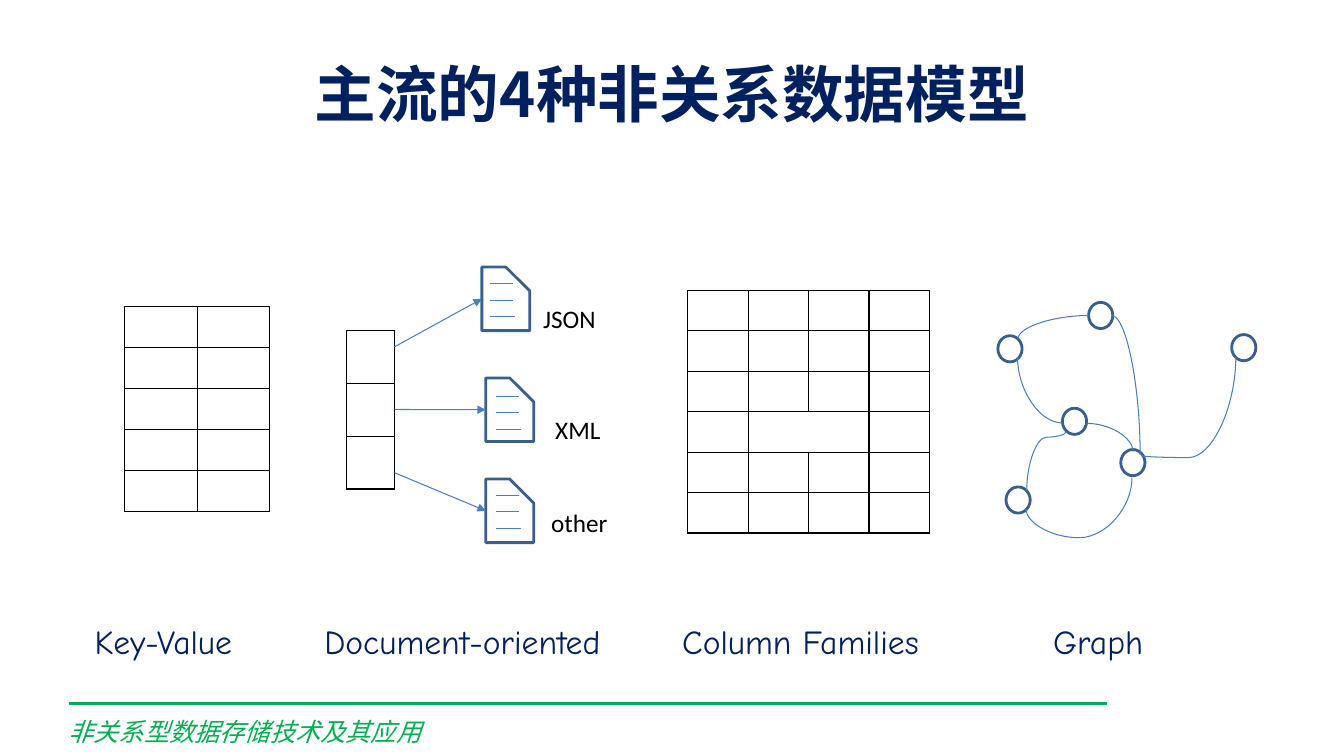
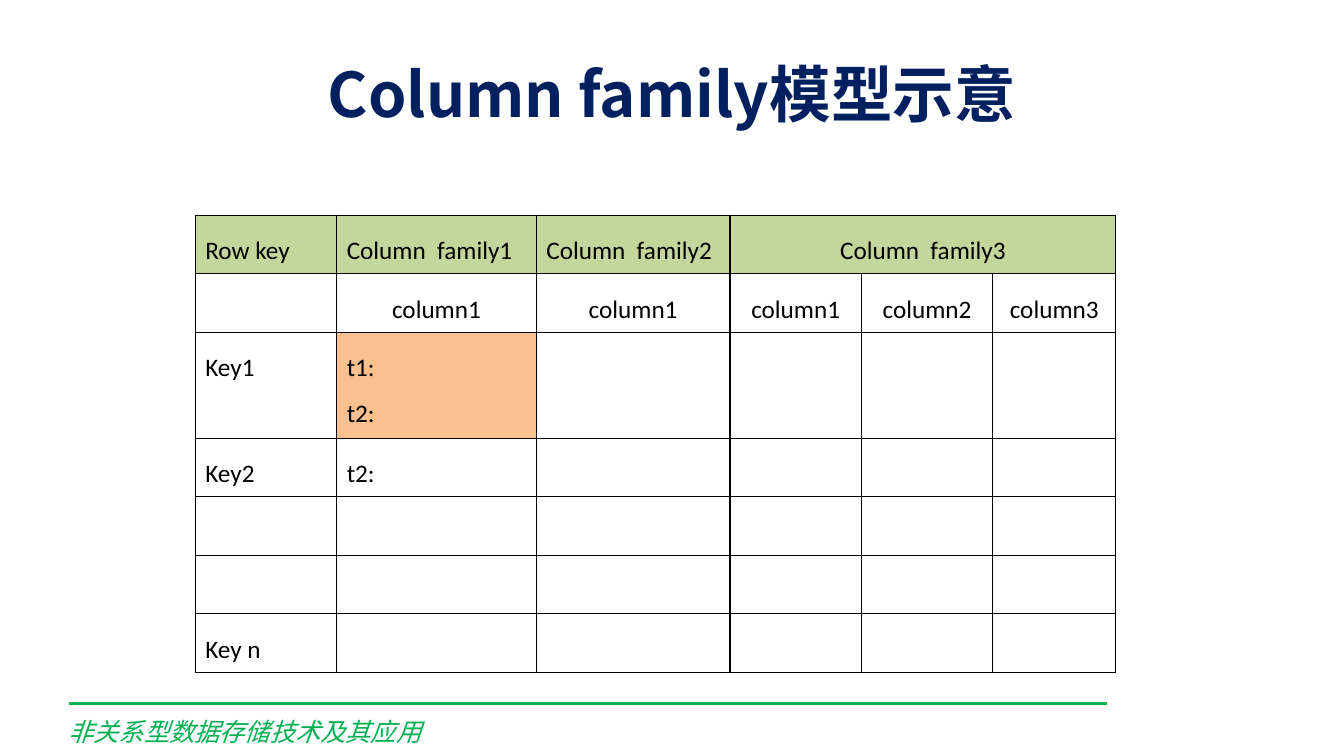
from dataclasses import dataclass

from lxml.etree import SubElement
from pptx import Presentation
from pptx.dml.color import RGBColor
from pptx.enum.shapes import MSO_CONNECTOR as Link, MSO_SHAPE as Form
from pptx.enum.text import MSO_ANCHOR as Anchor, MSO_AUTO_SIZE as Fit, PP_ALIGN as Align
from pptx.oxml import parse_xml
from pptx.oxml.ns import nsdecls, qn
from pptx.util import Pt

# Shared look
NAVY, GREEN, BLACK = "002060", "00B050", "000000"
EDGE, THIN = "3A5F8C", "4B7EBC"
LIME, PEACH = "C3D69B", "FAC090"
HAN, BODY, HAND = "Noto Sans CJK JP", "Calibri", "Comic Neue"
FOOT = "非关系型数据存储技术及其应用"


@dataclass(frozen=True)
class Label:
    text: str
    x: float
    y: float
    w: float
    size: float = 18
    face: str = BODY
    tint: str = BLACK
    slant: bool = False


@dataclass(frozen=True)
class Page:
    x: float
    y: float
    ink_x: float
    ink_y: float
    start: float  # height at which the arrow leaves the key column


@dataclass(frozen=True)
class Curve:
    head: str
    head_at: int
    tail: str
    tail_at: int
    box: tuple[float, float, float, float]
    turn: int = 0
    flip: str = ""
    bend: float | None = None


def hue(code: str) -> RGBColor:
    return RGBColor.from_string(code)


def set_font(para, face: str, size: float, tint: str, bold=False, slant=False) -> None:
    font = para.font
    font.name, font.size, font.bold, font.italic = face, Pt(size), bold, slant
    font.color.rgb = hue(tint)
    if face == HAN:
        east = SubElement(font._element, qn("a:ea"))
        east.set("typeface", face)


def add_label(slide, label: Label) -> None:
    box = slide.shapes.add_textbox(Pt(label.x), Pt(label.y), Pt(label.w), Pt(28.8))
    frame = box.text_frame
    frame.word_wrap = True
    frame.auto_size = Fit.SHAPE_TO_FIT_TEXT
    frame.text = label.text
    set_font(frame.paragraphs[0], label.face, label.size, label.tint, slant=label.slant)


def add_line(slide, x1: float, y1: float, x2: float, y2: float,
             tint: str = THIN, width: float = 0.75, kind=Link.STRAIGHT):
    line = slide.shapes.add_connector(kind, Pt(x1), Pt(y1), Pt(x2), Pt(y2))
    line.line.color.rgb = hue(tint)
    line.line.width = Pt(width)
    SubElement(line._element.spPr, qn("a:effectLst"))
    return line


def add_form(slide, form, x: float, y: float, w: float, h: float):
    shape = slide.shapes.add_shape(form, Pt(x), Pt(y), Pt(w), Pt(h))
    shape.shadow.inherit = False
    shape.fill.background()
    shape.line.color.rgb = hue(EDGE)
    shape.line.width = Pt(2)
    return shape


def add_curve(slide, curve: Curve, nodes: dict) -> None:
    x, y, w, h = curve.box
    x1, x2 = (x + w, x) if curve.flip == "h" else (x, x + w)
    y1, y2 = (y + h, y) if curve.flip == "v" else (y, y + h)
    part = add_line(slide, x1, y1, x2, y2, kind=Link.CURVE)._element
    if curve.turn:
        part.spPr.xfrm.set("rot", str(curve.turn * 60000))
    geom = part.spPr.find(qn("a:prstGeom"))
    if curve.bend is None:
        geom.set("prst", "curvedConnector2")
    else:
        guide = SubElement(geom.find(qn("a:avLst")), qn("a:gd"))
        guide.set("name", "adj1")
        guide.set("fmla", f"val {round(curve.bend * 100000)}")
    # Join both ends to the eight sites of the circles
    joint = part.nvCxnSpPr.cNvCxnSpPr
    for tag, node, site in (("a:stCxn", curve.head, curve.head_at),
                            ("a:endCxn", curve.tail, curve.tail_at)):
        end = SubElement(joint, qn(tag))
        end.set("id", str(nodes[node].shape_id))
        end.set("idx", str(site))


def add_grid(slide, x: float, y: float, cols: list[float], rows: list[float]):
    frame = slide.shapes.add_table(len(rows), len(cols), Pt(x), Pt(y),
                                   Pt(sum(cols)), Pt(sum(rows)))
    grid = frame.table
    grid.first_row = grid.horz_banding = False
    for col, width in zip(grid.columns, cols):
        col.width = Pt(width)
    for row, height in zip(grid.rows, rows):
        row.height = Pt(height)
    for cell in grid.iter_cells():
        cell.margin_top = cell.margin_bottom = 0
        cell.fill.background()
        props = cell._tc.get_or_add_tcPr()
        for spot, side in enumerate("LRTB"):
            props.insert(spot, parse_xml(
                f'<a:ln{side} {nsdecls("a")} w="12700"><a:solidFill>'
                f'<a:srgbClr val="{BLACK}"/></a:solidFill></a:ln{side}>'))
    return grid


def add_slide(deck, title: str):
    slide = deck.slides.add_slide(deck.slide_layouts[5])
    head = slide.shapes.title
    head.left, head.top, head.width, head.height = Pt(48), Pt(21.6), Pt(864), Pt(90)
    frame = head.text_frame
    frame.text = title
    frame.auto_size = Fit.NONE
    frame.vertical_anchor = Anchor.MIDDLE
    para = frame.paragraphs[0]
    para.alignment = Align.CENTER
    set_font(para, HAN, 44, NAVY, bold=True)
    # Footer band
    add_line(slide, 49, 502.6, 790.6, 502.6, GREEN, 2.25)
    add_label(slide, Label(FOOT, 41.8, 508.3, 521, 18, HAN, GREEN, True))
    return slide


PAGES = [
    Page(344.2, 190.8, 5.8, 11.5, 247.7),
    Page(347, 270, 7.2, 13, 292.5),
    Page(347, 342.2, 7.2, 11.5, 337.7),
]
LABELS = [
    Label("JSON", 380.9, 213.1, 59),
    Label("XML", 389.5, 292.3, 51),
    Label("other", 386.6, 358.6, 60),
    *(Label(text, x, 439.9, w, 24, HAND, NAVY) for text, x, w in (
        ("Key-Value", 60.5, 132), ("Document-oriented", 224.6, 233),
        ("Column Families", 480.2, 212), ("Graph", 745.2, 103))),
]
NODES = {
    "hub": (800.6, 321.1), "top": (777.6, 216), "left": (712.8, 239.8),
    "low": (718.6, 347.8), "mid": (758.9, 291.6), "far": (879.8, 239),
}
CURVES = [
    Curve("top", 2, "left", 7, (727.2, 225.4, 50.4, 16.6), 180, "v"),
    Curve("left", 5, "mid", 2, (719.3, 262.8, 46.8, 31.7), 270, "h"),
    Curve("hub", 4, "low", 5, (759.6, 314.6, 22.3, 75.6), 90, bend=1.92),
    Curve("mid", 6, "hub", 0, (776.2, 302.4, 33.1, 20.2)),
    Curve("mid", 3, "low", 7, (726.5, 315.4, 41.8, 28.1), 90, bend=0.09),
    Curve("far", 3, "hub", 7, (813.6, 256.3, 70.6, 67.7), 90, bend=1.02),
    Curve("top", 6, "hub", 7, (794.2, 225.4, 20.2, 99.4)),
]


def draw_models(deck) -> None:
    slide = add_slide(deck, "主流的4种非关系数据模型")
    # Key-value pairs and document keys
    add_grid(slide, 89, 219.2, [51.8] * 2, [29.3] * 5)
    add_grid(slide, 247.7, 236.2, [34.2] * 1, [37.7] * 3)
    # Documents
    for page in PAGES:
        sheet = add_form(slide, Form.SNIP_1_RECTANGLE, page.x, page.y, 34.2, 45.4)
        sheet.adjustments[0] = 0.5
        arrow = add_line(slide, 281.9, page.start, page.x, page.y + 22.7)
        arrow.end_connect(sheet, 1)
        tip = SubElement(arrow.line._get_or_add_ln(), qn("a:tailEnd"))
        tip.set("type", "triangle")
        for row, width in enumerate((16.6, 16.6, 18)):
            x, y = page.x + page.ink_x, page.y + page.ink_y + 12 * row
            add_line(slide, x, y, x + width, y)
    # Column families
    wide = add_grid(slide, 491.2, 207.4, [43.2] * 4, [28.9] * 6)
    wide.cell(3, 1).merge(wide.cell(3, 2))
    # Graph
    nodes = {name: add_form(slide, Form.OVAL, x, y, 17.3, 18.7)
             for name, (x, y) in NODES.items()}
    for curve in CURVES:
        add_curve(slide, curve, nodes)
    for label in LABELS:
        add_label(slide, label)


ROWS = [
    ["Row key", "Column  family1", "Column  family2", "Column  family3"],
    ["", "column1", "column1", "column1", "column2", "column3"],
    ["Key1", "t1:\nt2:"],
    ["Key2", "t2:"],
    [],
    [],
    ["Key n"],
]


def draw_family(deck) -> None:
    slide = add_slide(deck, "Column family模型示意")
    grid = add_grid(slide, 139.5, 153.7, [101, 142.6, 138.4, 93.8, 93.8, 88],
                    [41.8, 41.8, 75.7] + [41.8] * 4)
    grid.cell(0, 3).merge(grid.cell(0, 5))
    for row, texts in enumerate(ROWS):
        for col, text in enumerate(texts):
            cell = grid.cell(row, col)
            if not text:
                continue
            cell.margin_top = cell.margin_bottom = Pt(3.6)
            cell.text = text
            for para in cell.text_frame.paragraphs:
                set_font(para, BODY, 18, BLACK)
                para.line_spacing = 1.5
                if row == 1 or (row, col) == (0, 3):
                    para.alignment = Align.CENTER
    # Shaded header and versioned cell
    shades = [(0, col, LIME) for col in range(6)] + [(2, 1, PEACH)]
    for row, col, tint in shades:
        fill = grid.cell(row, col).fill
        fill.solid()
        fill.fore_color.rgb = hue(tint)


def main() -> None:
    deck = Presentation()
    deck.slide_width, deck.slide_height = Pt(960), Pt(540)
    draw_models(deck)
    draw_family(deck)
    deck.save("out.pptx")


if __name__ == "__main__":
    main()
